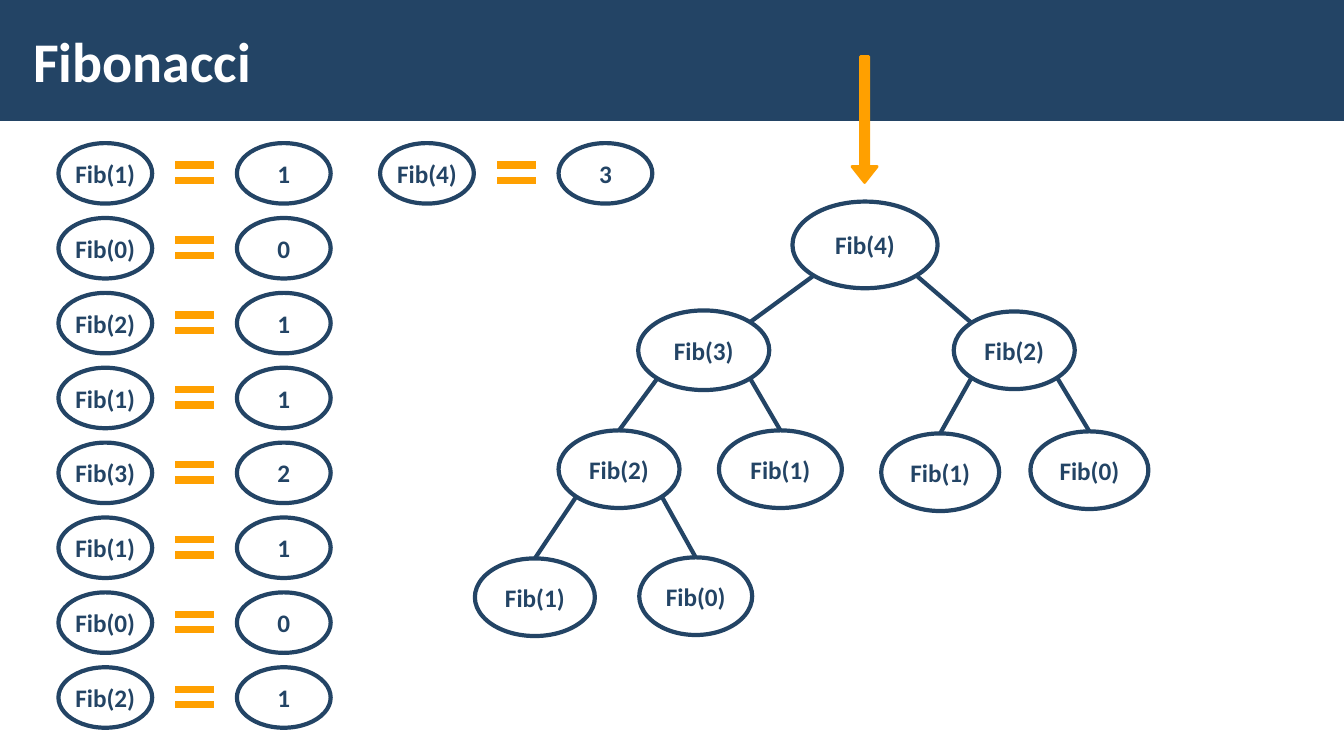
from lxml import etree
from pptx import Presentation
from pptx import util as u
from pptx.dml.color import RGBColor
from pptx.enum import shapes, text
from pptx.oxml.ns import qn

NAVY, ORANGE, WHITE = "234465", "FFA000", "FFFFFF"
KIND = shapes.MSO_SHAPE
ROW_TOP, ROW_STEP = 1.42, 5.2 / 7
RESULTS = [("Fib(1)", "1"), ("Fib(0)", "0"), ("Fib(2)", "1"), ("Fib(1)", "1"),
           ("Fib(3)", "2"), ("Fib(1)", "1"), ("Fib(0)", "0"), ("Fib(2)", "1")]

NODES = {
    "root": ("Fib(4)", 7.86, 2, 1.44, 0.86),
    "left": ("Fib(3)", 6.33, 3.08, 1.3, 0.79),
    "right": ("Fib(2)", 9.46, 3.09, 1.2, 0.77),
    "left-left": ("Fib(2)", 5.54, 4.27, 1.2, 0.77),
    "left-right": ("Fib(1)", 7.13, 4.27, 1.22, 0.77),
    "right-left": ("Fib(1)", 8.74, 4.3, 1.17, 0.77),
    "right-right": ("Fib(0)", 10.22, 4.28, 1.17, 0.77),
    "left-left-left": ("Fib(1)", 4.71, 5.54, 1.19, 0.77),
    "left-left-right": ("Fib(0)", 6.34, 5.53, 1.12, 0.77),
}
DIAGONAL = 0.5 ** 0.5


def colour(value):
    return RGBColor.from_string(value)


def style_text(frame, size, shade):
    frame.vertical_anchor = text.MSO_ANCHOR.MIDDLE
    for span in frame.paragraphs[0].runs:
        span.font.name = "Calibri"
        span.font.size = u.Pt(size)
        span.font.bold = True
        span.font.color.rgb = colour(shade)


def add_box(page, kind, place, fill, line=None, width=2):
    box = page.shapes.add_shape(kind, *map(u.Inches, place))
    box.shadow.inherit = False
    box.fill.solid()
    box.fill.fore_color.rgb = colour(fill)
    if line:
        box.line.color.rgb = colour(line)
        box.line.width = u.Pt(width)
    else:
        box.line.fill.background()
    return box


def add_oval(page, label, *place):
    oval = add_box(page, KIND.OVAL, place, WHITE, NAVY, 3)
    shade = oval.fill._xPr.find(qn("a:solidFill"))[0]
    etree.SubElement(shade, qn("a:alpha"), val="50000")
    frame = oval.text_frame
    frame.margin_left = frame.margin_right = 0
    frame.margin_top = frame.margin_bottom = u.Inches(0.04)
    frame.word_wrap = True
    frame.text = label
    frame.paragraphs[0].alignment = text.PP_ALIGN.CENTER
    style_text(frame, 18, NAVY)
    return oval


def add_result(page, left, top, call, value):
    add_oval(page, call, left, top, 0.93, 0.6)
    add_box(page, KIND.MATH_EQUAL, (left + 1.07, top + 0.08, 0.56, 0.43), ORANGE, WHITE)
    add_oval(page, value, left + 1.77, top, 0.93, 0.6)


def rim_point(name, across, down):
    _, left, top, width, height = NODES[name]
    return (u.Inches(left + width / 2 * (1 + across * DIAGONAL)),
            u.Inches(top + height / 2 * (1 + down * DIAGONAL)))


def add_edge(page, parent, name, side, child):
    start = rim_point(parent, side, 1)
    end = rim_point(name, -side, -1)
    edge = page.shapes.add_connector(shapes.MSO_CONNECTOR.STRAIGHT, *start, *end)
    if parent != "root":
        edge.end_connect(child, 0)
    edge.line.color.rgb = colour(NAVY)
    edge.line.width = u.Pt(3)
    etree.SubElement(edge._element.spPr, qn("a:effectLst"))


def add_tree(page):
    ovals = {name: add_oval(page, *node) for name, node in NODES.items()}
    for name, oval in ovals.items():
        if name == "root":
            continue
        parent = name.rpartition("-")[0] or "root"
        side = -1 if name.endswith("left") else 1
        add_edge(page, parent, name, side, oval)


def add_header(page):
    band = add_box(page, KIND.RECTANGLE, (0, 0, 13.33, 1.2), NAVY)
    page.shapes._spTree.insert(2, band._element)
    title = page.shapes.title
    title.left, title.top = u.Inches(0.21), u.Inches(0.11)
    title.width, title.height = u.Inches(10.63), u.Inches(0.97)
    frame = title.text_frame
    frame.text = "Fibonacci"
    frame.margin_left = frame.margin_right = u.Inches(0.12)
    frame.margin_top = frame.margin_bottom = u.Inches(0.04)
    frame.paragraphs[0].alignment = text.PP_ALIGN.LEFT
    style_text(frame, 40, WHITE)


def add_pointer(page):
    arrow = add_box(page, KIND.RIGHT_ARROW, (7.95, 1.06, 1.25, 0.25), ORANGE, ORANGE)
    arrow.rotation = 90
    arrow.adjustments[0] = 0.324
    arrow.adjustments[1] = 0.632


def main():
    deck = Presentation()
    deck.slide_width, deck.slide_height = u.Inches(13.33), u.Inches(7.5)
    page = deck.slides.add_slide(deck.slide_layouts[5])
    add_header(page)
    add_tree(page)
    for row, (call, value) in enumerate(RESULTS):
        add_result(page, 0.58, ROW_TOP + row * ROW_STEP, call, value)
    add_result(page, 3.77, ROW_TOP, "Fib(4)", "3")
    add_pointer(page)
    deck.save("out.pptx")


if __name__ == "__main__":
    main()
